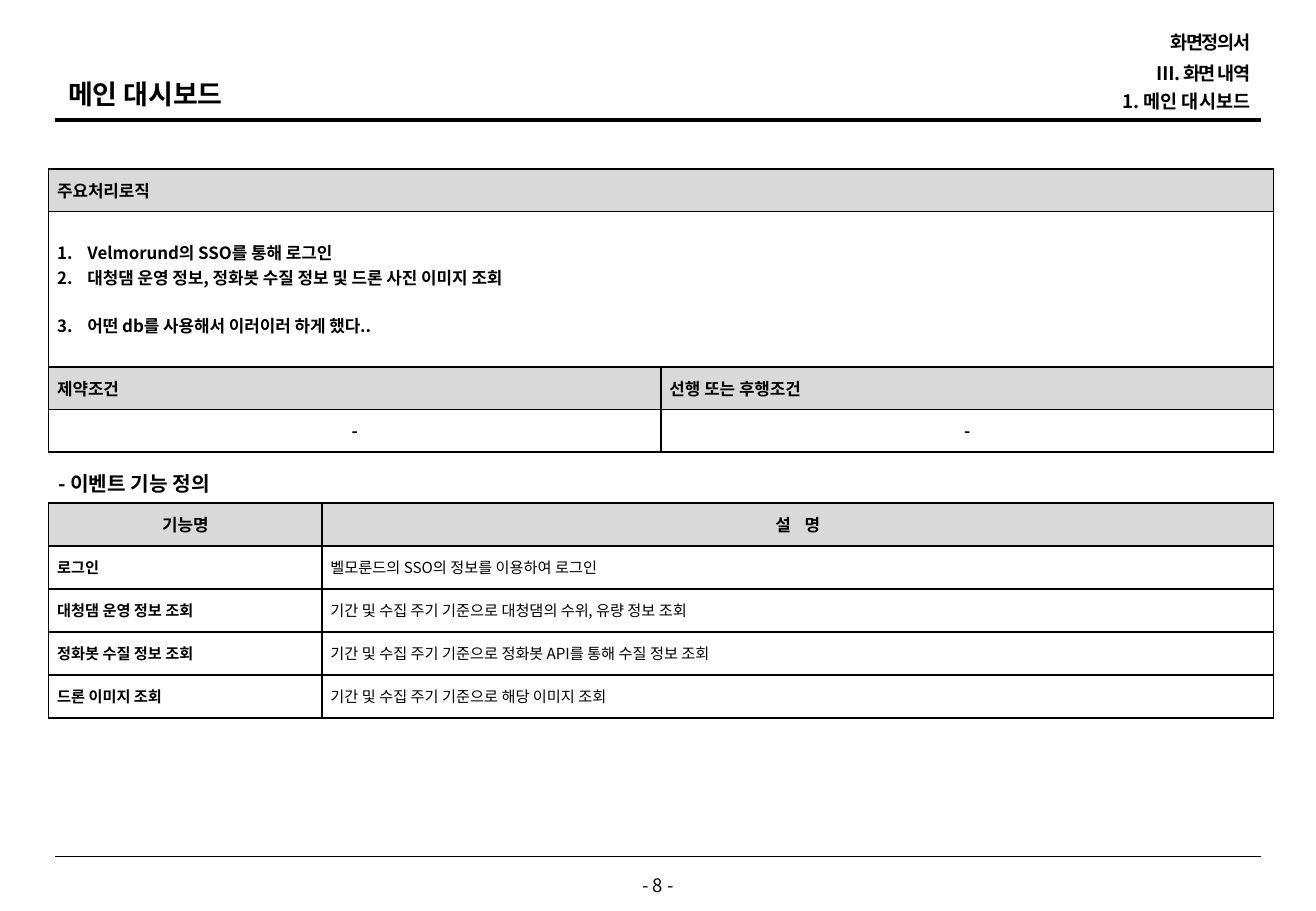
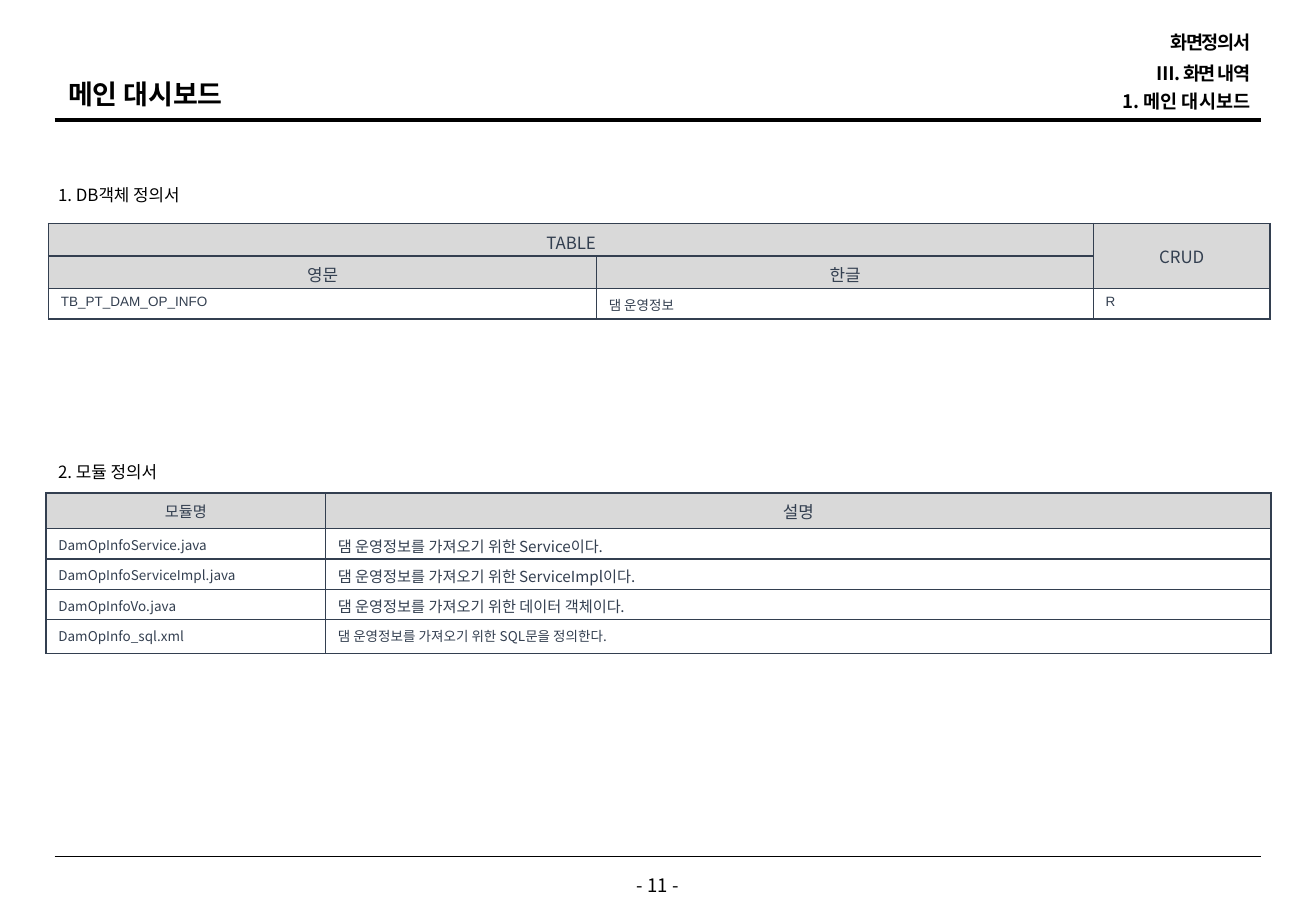
from lxml import etree
from pptx import Presentation
from pptx.dml.color import RGBColor
from pptx.enum import shapes, text
from pptx.oxml import ns
from pptx.util import Inches, Pt

BLACK = RGBColor(0, 0, 0)
WHITE = RGBColor(255, 255, 255)
GREY = RGBColor(0xD9, 0xD9, 0xD9)
SLATE = RGBColor(0x33, 0x3F, 0x50)
KOREAN = "Noto Sans CJK KR"
LEFT, CENTER, RIGHT = text.PP_ALIGN.LEFT, text.PP_ALIGN.CENTER, text.PP_ALIGN.RIGHT
MIDDLE, TOP = text.MSO_ANCHOR.MIDDLE, text.MSO_ANCHOR.TOP


def write(frame, words, size=10, bold=False, color=BLACK, font=KOREAN, align=LEFT,
          line=None, tracking=None, numbered=False, new=False, before=0):
    para = frame.add_paragraph() if new else frame.paragraphs[0]
    if numbered:
        properties = para._p.get_or_add_pPr()
        properties.set("marL", str(Inches(0.25)))
        properties.set("indent", str(-Inches(0.25)))
        etree.SubElement(properties, ns.qn("a:buFont"), typeface="+mj-lt")
        etree.SubElement(properties, ns.qn("a:buAutoNum"), type="arabicPeriod")
    para.alignment = align
    para.space_before = Pt(before)
    if line:
        para.line_spacing = line
    span = para.add_run()
    span.text = words
    span.font.size = Pt(size)
    span.font.bold = bold
    span.font.color.rgb = color
    span.font.name = font
    run_properties = span.font._element
    etree.SubElement(run_properties, ns.qn("a:ea"), typeface=KOREAN)
    if tracking:
        run_properties.set("spc", str(int(tracking * 100)))


def add_grid(page, left, top, widths, heights, color, margins=None):
    table = page.shapes.add_table(len(heights), len(widths), Inches(left), Inches(top),
                                  Inches(sum(widths)), Inches(sum(heights))).table
    table.first_row = table.horz_banding = False
    for column, width in zip(table.columns, widths):
        column.width = Inches(width)
    for row, height in zip(table.rows, heights):
        row.height = Inches(height)
    for cell in table.iter_cells():
        cell.fill.solid()
        cell.fill.fore_color.rgb = WHITE
        cell.vertical_anchor = MIDDLE
        if margins:
            cell.margin_left = cell.margin_right = Inches(margins)
            cell.margin_top = cell.margin_bottom = 0
        properties = cell._tc.get_or_add_tcPr()
        for place, side in enumerate(("lnL", "lnR", "lnT", "lnB")):
            border = etree.Element(ns.qn("a:" + side), w=str(Pt(1)))
            fill = etree.SubElement(border, ns.qn("a:solidFill"))
            etree.SubElement(fill, ns.qn("a:srgbClr"), val=str(color))
            properties.insert(place, border)
    return table


deck = Presentation()
deck.slide_width, deck.slide_height = Inches(10.83), Inches(7.5)
pages = []

for number in (8, 11):
    page = deck.slides.add_slide(deck.slide_layouts[5])
    pages.append(page)

    for y, weight in ((0.99, 2.25), (7.05, 0.5)):
        rule = page.shapes.add_connector(shapes.MSO_CONNECTOR.STRAIGHT, Inches(0.45),
                                         Inches(y), Inches(10.38), Inches(y))
        rule.line.color.rgb = BLACK
        rule.line.width = Pt(weight)
        etree.SubElement(rule._element.spPr, ns.qn("a:effectLst"))

    title = page.shapes.title
    title.left, title.top = Inches(0.46), Inches(0.62)
    title.width, title.height = Inches(6.77), Inches(0.32)
    title.text_frame.auto_size = text.MSO_AUTO_SIZE.NONE
    title.text_frame.vertical_anchor = TOP
    write(title.text_frame, "메인 대시보드", size=16, bold=True, line=0.9)

    for y, words, tracking in ((0.26, "화면정의서", -0.8), (0.51, "Ⅲ. 화면 내역", -0.8),
                               (0.74, "1. 메인 대시보드", None)):
        box = page.shapes.add_textbox(Inches(7.32), Inches(y), Inches(3.07), Inches(0.2))
        box.text_frame.word_wrap = True
        box.text_frame.vertical_anchor = MIDDLE
        write(box.text_frame, words, size=11, bold=True, align=RIGHT, line=0.9,
              tracking=tracking)

    footer = page.shapes.add_textbox(Inches(4.1), Inches(7.19), Inches(2.63), Inches(0.21))
    frame = footer.text_frame
    frame.word_wrap = True
    frame.vertical_anchor = MIDDLE
    frame.margin_left = frame.margin_right = frame.margin_top = frame.margin_bottom = 0
    write(frame, f"- {number} -", size=11, align=CENTER, line=Pt(12))

screen_page, module_page = pages

for page, y, words, size, bold in (
        (screen_page, 3.83, "- 이벤트 기능 정의", 12, True),
        (module_page, 1.47, "1. DB객체 정의서", 10, False),
        (module_page, 3.75, "2. 모듈 정의서", 10, False)):
    heading = page.shapes.add_textbox(Inches(0.38), Inches(y), Inches(2.05), Inches(0.31))
    heading.text_frame.word_wrap = True
    write(heading.text_frame, words, size=size, bold=bold)

logic = add_grid(screen_page, 0.4, 1.39, [5.04] * 2, [0.35, 1.28, 0.35, 0.35], BLACK, 0.07)
for row in (0, 1):
    logic.cell(row, 0).merge(logic.cell(row, 1))
for row, column, words in ((0, 0, "주요처리로직"), (2, 0, "제약조건"),
                           (2, 1, "선행 또는 후행조건")):
    cell = logic.cell(row, column)
    cell.fill.fore_color.rgb = GREY
    write(cell.text_frame, words, bold=True)
steps = ["Velmorund의 SSO를 통해 로그인",
         "대청댐 운영 정보, 정화봇 수질 정보 및 드론 사진 이미지 조회",
         "어떤 db를 사용해서 이러이러 하게 했다.."]
for index, step in enumerate(steps):
    write(logic.cell(1, 0).text_frame, step, bold=True, numbered=True, new=index > 0,
          before=14.5 if index == 2 else 0)
for column in (0, 1):
    write(logic.cell(3, column).text_frame, "-", bold=True, align=CENTER)

events = [("로그인", "벨모룬드의 SSO의 정보를 이용하여 로그인"),
          ("대청댐 운영 정보 조회", "기간 및 수집 주기 기준으로 대청댐의 수위, 유량 정보 조회"),
          ("정화봇 수질 정보 조회", "기간 및 수집 주기 기준으로 정화봇 API를 통해 수질 정보 조회"),
          ("드론 이미지 조회", "기간 및 수집 주기 기준으로 해당 이미지 조회")]
event_table = add_grid(screen_page, 0.4, 4.14, [2.25, 7.83], [1.77 / 5] * 5, BLACK, 0.07)
for column, (words, tracking) in enumerate((("기능명", None), ("설 명", 3))):
    cell = event_table.cell(0, column)
    cell.fill.fore_color.rgb = GREY
    write(cell.text_frame, words, bold=True, align=CENTER, tracking=tracking)
for row, event in enumerate(events, 1):
    for column, words in enumerate(event):
        write(event_table.cell(row, column).text_frame, words, size=9, bold=column == 0)

objects = add_grid(module_page, 0.4, 1.84, [4.51, 4.09, 1.45], [0.25, 0.26, 0.25], SLATE)
objects.cell(0, 0).merge(objects.cell(0, 1))
objects.cell(0, 2).merge(objects.cell(1, 2))
for row, column, words in ((0, 0, "TABLE"), (0, 2, "CRUD"), (1, 0, "영문"), (1, 1, "한글")):
    cell = objects.cell(row, column)
    cell.fill.fore_color.rgb = GREY
    write(cell.text_frame, words, color=SLATE, align=CENTER)
for column, words in enumerate(("TB_PT_DAM_OP_INFO", "댐 운영정보", "R")):
    cell = objects.cell(2, column)
    cell.vertical_anchor = TOP
    write(cell.text_frame, words, size=8, color=SLATE, font="Arial")

modules = [("DamOpInfoService.java", "댐 운영정보를 가져오기 위한 Service이다.", 9),
           ("DamOpInfoServiceImpl.java", "댐 운영정보를 가져오기 위한 ServiceImpl이다.", 9),
           ("DamOpInfoVo.java", "댐 운영정보를 가져오기 위한 데이터 객체이다.", 9),
           ("DamOpInfo_sql.xml", "댐 운영정보를 가져오기 위한 SQL문을 정의한다.", 8)]
module_table = add_grid(module_page, 0.38, 4.06, [2.3, 7.78],
                        [0.29, 0.25, 0.25, 0.25, 0.28], SLATE)
for column, (words, size) in enumerate((("모듈명", 9), ("설명", 10))):
    cell = module_table.cell(0, column)
    cell.fill.fore_color.rgb = GREY
    write(cell.text_frame, words, size=size, color=SLATE, align=CENTER)
for row, (name, description, size) in enumerate(modules, 1):
    for column, (words, points) in enumerate(((name, 8), (description, size))):
        cell = module_table.cell(row, column)
        cell.vertical_anchor = TOP
        write(cell.text_frame, words, size=points, color=SLATE)

deck.save("out.pptx")
